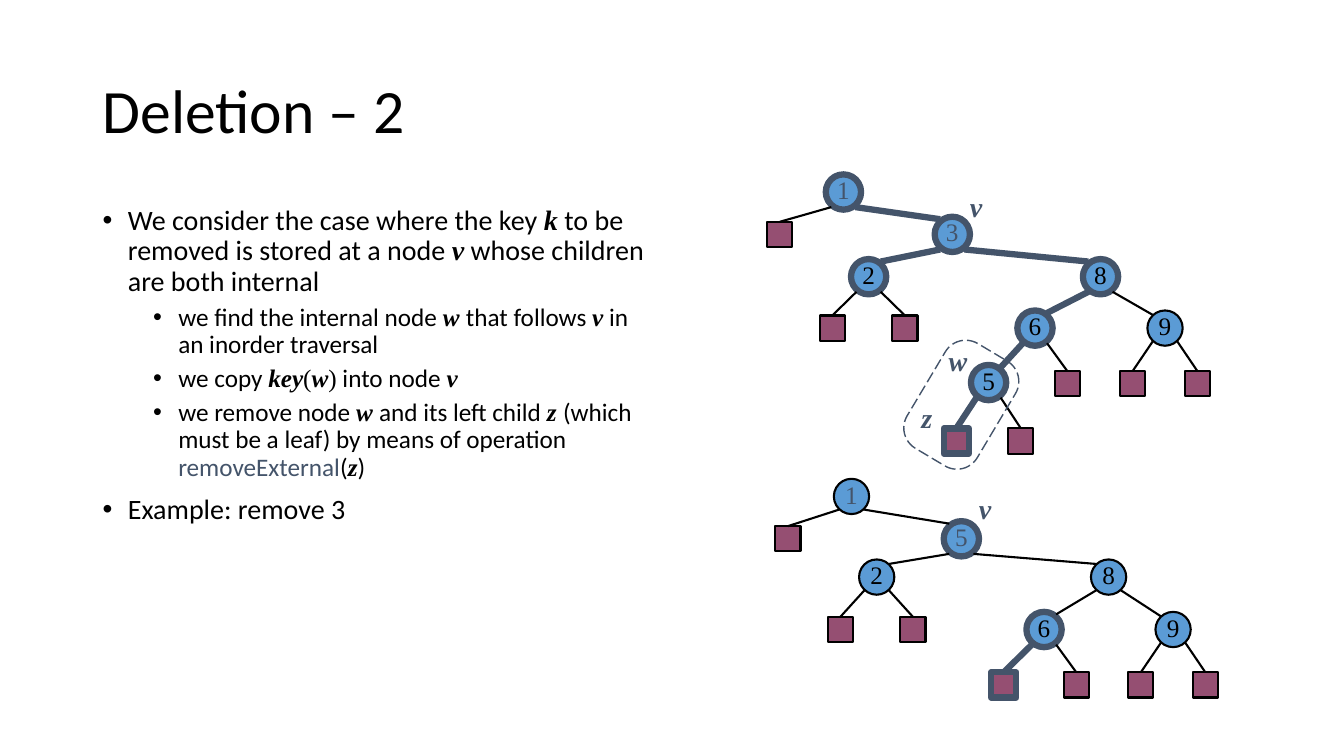
from dataclasses import dataclass
from typing import Optional

from lxml.etree import SubElement
from pptx import Presentation
from pptx.dml.color import RGBColor
from pptx.enum.dml import MSO_LINE
from pptx.enum.shapes import MSO_CONNECTOR, MSO_SHAPE
from pptx.enum.text import MSO_ANCHOR, PP_ALIGN
from pptx.oxml.ns import qn
from pptx.util import Pt

PX = 9144  # 100 px to the inch
CIRCLE, SQUARE = 35, 25


@dataclass(frozen=True)
class Theme:
    ink: str = "000000"
    accent: str = "44546A"
    node: str = "5B9BD5"
    leaf: str = "954F72"
    sans: str = "Calibri"
    serif: str = "Times New Roman"
    title_size: int = 44
    body_size: int = 20
    detail_size: int = 18
    key_size: int = 18
    label_size: int = 20
    thin: float = 1.5
    thick: float = 4.5
    dashed: float = 1


THEME = Theme()
PLAIN = {"name": THEME.sans, "bold": False, "italic": False}
SYMBOL = {"name": THEME.serif, "bold": True, "italic": True}
SERIF = {**PLAIN, "name": THEME.serif}
ACCENT = {**PLAIN, "color": THEME.accent}

LEVELS = [
    {"size": THEME.body_size, "before": 10, "indent": 25},
    {"size": THEME.detail_size, "before": 5, "indent": 75},
]
BULLETS = [
    (0, [("We consider the case where the key ", PLAIN), ("k", SYMBOL),
         (" to be removed is stored at a node ", PLAIN), ("v", SYMBOL),
         (" whose children are both internal", PLAIN)]),
    (1, [("we find the internal node ", PLAIN), ("w ", SYMBOL),
         ("that follows ", PLAIN), ("v", SYMBOL), (" in an inorder traversal", PLAIN)]),
    (1, [("we copy ", PLAIN), ("key", SYMBOL), ("(", SERIF), ("w", SYMBOL),
         (")", SERIF), (" into node ", PLAIN), ("v", SYMBOL)]),
    (1, [("we remove node ", PLAIN), ("w ", SYMBOL), ("and its left child ", PLAIN),
         ("z ", SYMBOL), ("(which must be a leaf) by means of operation ", PLAIN),
         ("removeExternal", ACCENT), ("(", PLAIN), ("z", SYMBOL), (")", PLAIN)]),
    (0, [("Example: remove 3", PLAIN)]),
]


@dataclass
class Node:
    """A tree node at its top left corner; one without a key is a leaf."""
    left: int
    top: int
    key: str = ""
    children: tuple = ()
    marked: bool = False
    key_color: str = THEME.ink
    shape: Optional[object] = None

    def size(self):
        return CIRCLE if self.key else SQUARE

    def center(self):
        return self.left + self.size() / 2, self.top + self.size() / 2

    def weight(self):
        return THEME.thick if self.marked else THEME.thin


TREE_BEFORE = Node(819, 173, "1", (
    Node(761, 220),
    Node(927, 215, "3", (
        Node(844, 257, "2", (Node(813, 313), Node(885, 313)), True),
        Node(1074, 257, "8", (
            Node(1009, 308, "6", (
                Node(963, 362, "5", (Node(936, 425, marked=True), Node(1000, 425)), True),
                Node(1046, 368)), True),
            Node(1138, 308, "9", (Node(1111, 368), Node(1175, 368)))), True),
    ), True, THEME.accent)), True, THEME.accent)

TREE_AFTER = Node(827, 475, "1", (
    Node(769, 522),
    Node(936, 517, "5", (
        Node(852, 555, "2", (Node(821, 612), Node(893, 612))),
        Node(1082, 555, "8", (
            Node(1018, 607, "6", (Node(983, 667, marked=True), Node(1055, 667)), True),
            Node(1146, 607, "9", (Node(1119, 667), Node(1183, 667))))),
    ), True, THEME.accent)), key_color=THEME.accent)

LABELS = [("v", 952, 183, 32), ("w", 931, 336, 39), ("z", 904, 392, 31), ("v", 961, 483, 32)]


def emu(*lengths):
    return [round(length * PX) for length in lengths]


def set_all(target, values):
    for name, value in values.items():
        setattr(target, name, value)


def add_run(paragraph, text, size, style):
    run = paragraph.add_run()
    run.text = text
    values = {"size": Pt(size), **style}
    run.font.color.rgb = RGBColor.from_string(values.pop("color", THEME.ink))
    set_all(run.font, values)


def add_text_box(slide, box, **frame_values):
    frame = slide.shapes.add_textbox(*emu(*box)).text_frame
    set_all(frame, {"word_wrap": True, **frame_values})
    return frame


def add_bullet(paragraph, level, runs):
    look = LEVELS[level]
    set_all(paragraph, {"level": level, "line_spacing": 0.9, "space_before": Pt(look["before"])})
    properties = paragraph._p.get_or_add_pPr()
    left, hanging = emu(look["indent"], -25)
    properties.set("marL", str(left))
    properties.set("indent", str(hanging))
    SubElement(properties, qn("a:buFont"), typeface="Arial")
    SubElement(properties, qn("a:buChar"), char="•")
    for text, style in runs:
        add_run(paragraph, text, look["size"], style)


def add_outlined(slide, kind, box, fill, color, weight):
    shape = slide.shapes.add_shape(kind, *emu(*box))
    shape.shadow.inherit = False
    if fill:
        shape.fill.solid()
        shape.fill.fore_color.rgb = RGBColor.from_string(fill)
    else:
        shape.fill.background()
    shape.line.color.rgb = RGBColor.from_string(color)
    shape.line.width = Pt(weight)
    return shape


def line_color(marked):
    return THEME.accent if marked else THEME.ink


def add_node(slide, node):
    kind, fill = (MSO_SHAPE.OVAL, THEME.node) if node.key else (MSO_SHAPE.RECTANGLE, THEME.leaf)
    box = (node.left, node.top, node.size(), node.size())
    node.shape = add_outlined(slide, kind, box, fill, line_color(node.marked), node.weight())
    if node.key:
        frame = node.shape.text_frame
        set_all(frame, {"word_wrap": False, "vertical_anchor": MSO_ANCHOR.MIDDLE,
                        "margin_left": 0, "margin_right": 0, "margin_top": 0,
                        "margin_bottom": 5 * PX})
        frame.paragraphs[0].alignment = PP_ALIGN.CENTER
        add_run(frame.paragraphs[0], node.key, THEME.key_size, SERIF)
        frame.paragraphs[0].runs[0].font.color.rgb = RGBColor.from_string(node.key_color)


def circle_point(node, across, down):
    """Diagonal point on a node's outer edge; across and down are 1 or -1."""
    x, y = node.center()
    return x + 12 * across, y + (15 if node.marked else 13) * down


def add_edge(slide, parent, child):
    side = 1 if child.center()[0] > parent.center()[0] else -1
    start, end = circle_point(parent, side, 1), circle_point(child, -side, -1)
    edge = slide.shapes.add_connector(MSO_CONNECTOR.STRAIGHT, *emu(*start, *end))
    if not child.key:
        edge.end_connect(child.shape, 0)
    marked = parent.marked and child.marked
    edge.line.color.rgb = RGBColor.from_string(line_color(marked))
    edge.line.width = Pt(THEME.thick if marked else THEME.thin)
    SubElement(edge._element.spPr, qn("a:effectLst"))


def add_tree(slide, node):
    add_node(slide, node)
    for child in node.children:
        add_tree(slide, child)
        add_edge(slide, node, child)


def add_removed_outline(slide):
    outline = add_outlined(slide, MSO_SHAPE.ROUNDED_RECTANGLE, (893, 361, 121, 81),
                           None, THEME.accent, THEME.dashed)
    outline.adjustments[0] = 0.29
    outline.rotation = 300.8
    outline.line.dash_style = MSO_LINE.LONG_DASH


def main():
    presentation = Presentation()
    presentation.slide_width, presentation.slide_height = emu(1333, 750)
    slide = presentation.slides.add_slide(presentation.slide_layouts[6])

    title = add_text_box(slide, (92, 40, 1150, 145), vertical_anchor=MSO_ANCHOR.MIDDLE)
    title.paragraphs[0].line_spacing = 0.9
    add_run(title.paragraphs[0], "Deletion – 2", THEME.title_size, PLAIN)

    body = add_text_box(slide, (92, 200, 567, 476))
    for index, (level, runs) in enumerate(BULLETS):
        add_bullet(body.add_paragraph() if index else body.paragraphs[0], level, runs)

    for tree in (TREE_BEFORE, TREE_AFTER):
        add_tree(slide, tree)
    for text, left, top, width in LABELS:
        label = add_text_box(slide, (left, top, width, 43), word_wrap=False)
        add_run(label.paragraphs[0], text, THEME.label_size, {**SYMBOL, "color": THEME.accent})
    add_removed_outline(slide)
    presentation.save("out.pptx")


if __name__ == "__main__":
    main()
